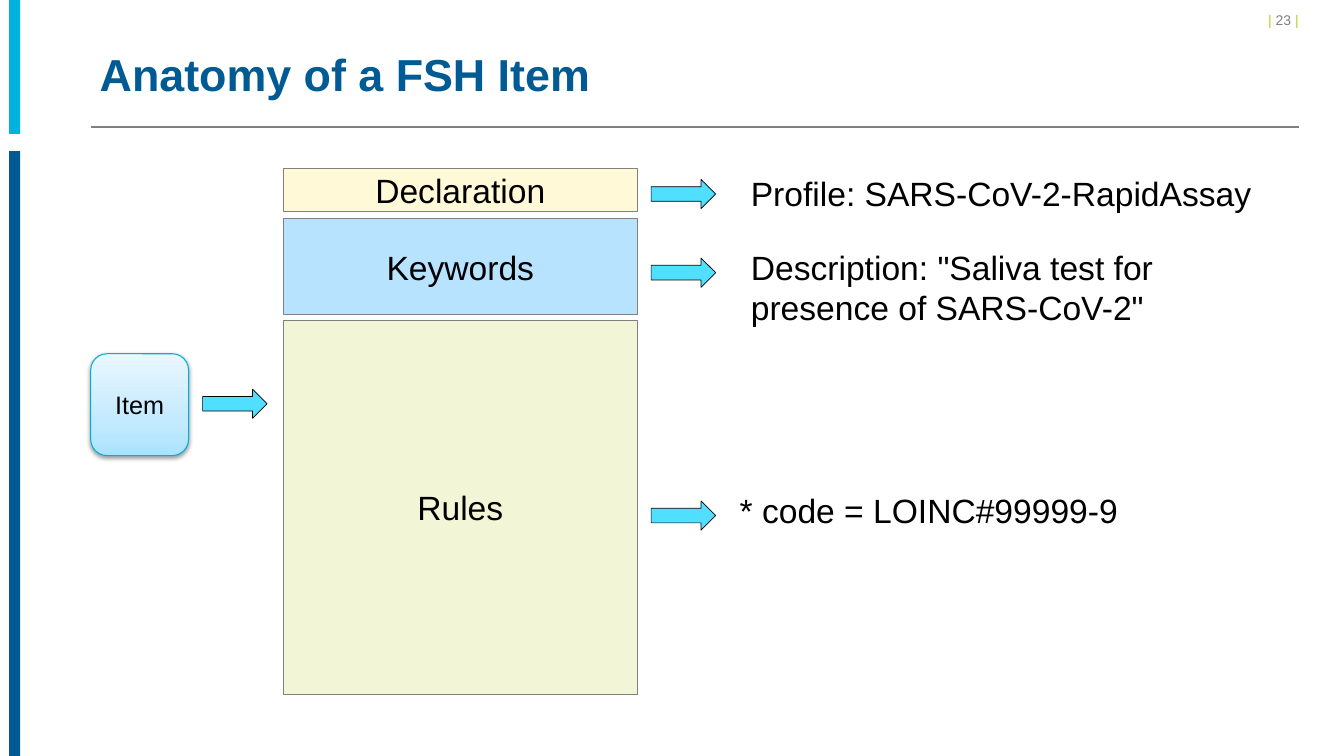
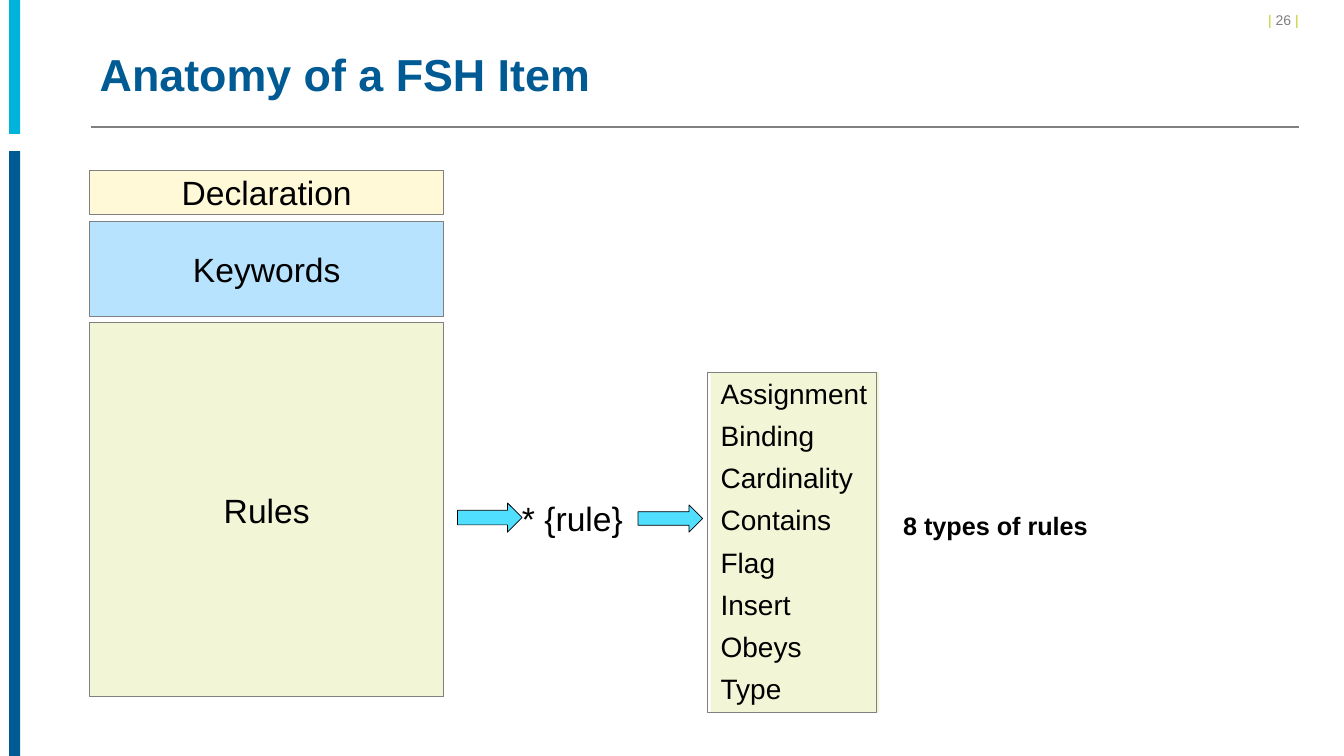
"""Build two slides on the anatomy of an FSH item, laid out in percent of the slide's size."""
from typing import NamedTuple

from lxml.etree import SubElement
from pptx import Presentation
from pptx.dml.color import RGBColor
from pptx.enum.shapes import MSO_CONNECTOR as Connector, MSO_SHAPE as Preset
from pptx.enum.text import MSO_ANCHOR as Anchor, MSO_AUTO_SIZE as AutoSize, PP_ALIGN as Align
from pptx.oxml.ns import qn
from pptx.shapes.autoshape import Shape
from pptx.slide import Slide
from pptx.util import Emu, Inches, Pt

WIDTH, HEIGHT = Inches(13.333), Inches(7.5)
FONT = "Arial"
BLACK, GRAY, NAVY, CYAN, LIME = "000000", "808080", "005B94", "00B3DC", "C1CD23"
CREAM, SKY, SAGE, AQUA, TEAL = "FFF9D8", "B7E3FF", "F2F6D6", "51DFFF", "00AFD7"
ITEM_STOPS = ((0, "ACE2FF"), (35, "C4EAFF"), (100, "E9F7FF"))
STACK_WIDTH = 26.33
ARROW_WIDTH, ARROW_HEIGHT, ARROW_GAP = 4.8, 3.87, 1.04
RULE_TYPES = ("Assignment", "Binding", "Cardinality", "Contains", "Flag", "Insert", "Obeys", "Type")


class Area(NamedTuple):
    left: float
    top: float
    width: float
    height: float


class Span(NamedTuple):
    text: str
    color: str = BLACK


class Layer(NamedTuple):
    name: str
    offset: float
    height: float
    fill: str


class Band(NamedTuple):
    top: float
    height: float
    fill: str


LAYERS = (
    Layer("Keywords", 6.67, 12.67, SKY),
    Layer("Rules", 20.13, 49.47, SAGE),
    Layer("Declaration", 0, 5.73, CREAM),
)
BANDS = (Band(0, 17.73, CYAN), Band(20, 80, NAVY))


def across(share: float) -> Emu:
    return Emu(round(WIDTH * share / 100))


def down(share: float) -> Emu:
    return Emu(round(HEIGHT * share / 100))


def place(area: Area) -> tuple[Emu, Emu, Emu, Emu]:
    return across(area.left), down(area.top), across(area.width), down(area.height)


def color(value: str) -> RGBColor:
    return RGBColor.from_string(value)


def write(box: Shape, *paragraphs: str | tuple[Span, ...], size: float = 24, bold: bool = False,
          align: Align = Align.LEFT, anchor: Anchor = Anchor.TOP, after: float = 0,
          leading: float | None = None, wrap: bool = True, grow: bool = False) -> None:
    frame = box.text_frame
    frame.word_wrap = wrap
    frame.vertical_anchor = anchor
    frame.auto_size = AutoSize.SHAPE_TO_FIT_TEXT if grow else AutoSize.NONE
    for index, content in enumerate(paragraphs):
        para = frame.add_paragraph() if index else frame.paragraphs[0]
        para.alignment = align
        para.space_after = Pt(after)
        if leading:
            para.line_spacing = Pt(leading)
        for span in (Span(content),) if isinstance(content, str) else content:
            run = para.add_run()
            run.text = span.text
            run.font.name, run.font.size, run.font.bold = FONT, Pt(size), bold
            run.font.color.rgb = color(span.color)


def add_shape(page: Slide, area: Area, fill: str | None = None, line: str | None = None,
              weight: float = 0.5, preset: Preset = Preset.RECTANGLE) -> Shape:
    shape = page.shapes.add_shape(preset, *place(area))
    shape.shadow.inherit = False
    if fill:
        shape.fill.solid()
        shape.fill.fore_color.rgb = color(fill)
    else:
        shape.fill.background()
    if line:
        shape.line.color.rgb = color(line)
        shape.line.width = Pt(weight)
    else:
        shape.line.fill.background()
    return shape


def add_note(page: Slide, area: Area, text: str | tuple[Span, ...], size: float = 24,
             bold: bool = False, align: Align = Align.LEFT, wrap: bool = True) -> None:
    box = page.shapes.add_textbox(*place(area))
    write(box, text, size=size, bold=bold, align=align, after=6, wrap=wrap, grow=True)


def add_arrow(page: Slide, left: float, top: float, height: float = ARROW_HEIGHT) -> None:
    add_shape(page, Area(left, top, ARROW_WIDTH, height), AQUA, BLACK, preset=Preset.RIGHT_ARROW)


def add_stack(page: Slide, left: float, top: float) -> float:
    for layer in LAYERS:
        area = Area(left, top + layer.offset, STACK_WIDTH, layer.height)
        box = add_shape(page, area, layer.fill, GRAY)
        write(box, layer.name, align=Align.CENTER, anchor=Anchor.MIDDLE)
    return left + STACK_WIDTH + ARROW_GAP


def add_color(parent, value: str):
    return SubElement(parent, qn("a:srgbClr"), val=value)


def add_item(page: Slide) -> None:
    item = add_shape(page, Area(6.75, 46.8, 7.28, 13.47), SKY, TEAL, 0.75, Preset.ROUNDED_RECTANGLE)
    item.fill.gradient()
    item.fill.gradient_angle = 90
    properties = item.element.spPr
    stops = properties.find(".//" + qn("a:gsLst"))
    stops.clear()
    for position, value in ITEM_STOPS:
        add_color(SubElement(stops, qn("a:gs"), pos=str(position * 1000)), value)
    shadow = SubElement(properties.find(qn("a:effectLst")), qn("a:outerShdw"), blurRad="40000",
                        dist="20000", dir="5400000", rotWithShape="0")
    SubElement(add_color(shadow, BLACK), qn("a:alpha"), val="38000")
    write(item, "Item", size=18, align=Align.CENTER, anchor=Anchor.MIDDLE)


def add_page(deck, number: int) -> Slide:
    page = deck.slides.add_slide(deck.slide_layouts[6])
    divider = page.shapes.add_connector(Connector.STRAIGHT, across(6.75), down(16.8),
                                        across(96.68), down(16.8))
    divider.line.color.rgb = color(GRAY)
    divider.line.width = Pt(1)
    SubElement(divider.element.spPr, qn("a:effectLst"))
    number_spans = (Span("| ", LIME), Span(f"{number} ", GRAY), Span("| ", LIME))
    add_note(page, Area(80.1, 0.93, 17.55, 3.6), number_spans, size=10, align=Align.RIGHT)
    for band in BANDS:
        add_shape(page, Area(0.68, band.top, 0.82, band.height), band.fill)
    title = page.shapes.add_textbox(*place(Area(6.68, 4, 90, 12.67)))
    write(title, (Span("Anatomy of a FSH Item", NAVY),), size=32, bold=True,
          anchor=Anchor.MIDDLE, leading=32)
    return page


def build_example(deck) -> None:
    page = add_page(deck, 23)
    arrow_left = add_stack(page, 21.08, 22.27)
    for top in (23.73, 34.13, 66.27):
        add_arrow(page, arrow_left, top)
    add_note(page, Area(55.13, 22.27, 40.88, 6.67), "Profile: SARS-CoV-2-RapidAssay")
    add_note(page, Area(55.13, 32, 33.9, 12.13),
             'Description: "Saliva test for presence of SARS-CoV-2"')
    add_note(page, Area(54.3, 64.13, 33.23, 6.67), "* code = LOINC#99999-9")
    add_item(page)
    add_arrow(page, 15.08, 51.47)


def build_rule_types(deck) -> None:
    page = add_page(deck, 26)
    arrow_left = add_stack(page, 6.68, 22.58)
    add_note(page, Area(38.1, 65.2, 9.6, 6.67), "* {rule}")
    add_arrow(page, arrow_left, 66.53)
    rule_area = Area(52.88, 49.2, 12.53, 45.07)
    rule_list = add_shape(page, rule_area, SAGE)
    write(rule_list, *RULE_TYPES, size=20, after=6, wrap=False, grow=True)
    add_arrow(page, 47.48, 66.8, 3.6)
    add_shape(page, rule_area._replace(left=52.65), line=GRAY)
    add_note(page, Area(66.45, 66.8, 15.38, 5.33), "8 types of rules", size=18, bold=True, wrap=False)


def main() -> None:
    deck = Presentation()
    deck.slide_width, deck.slide_height = WIDTH, HEIGHT
    build_example(deck)
    build_rule_types(deck)
    deck.save("out.pptx")


if __name__ == "__main__":
    main()
